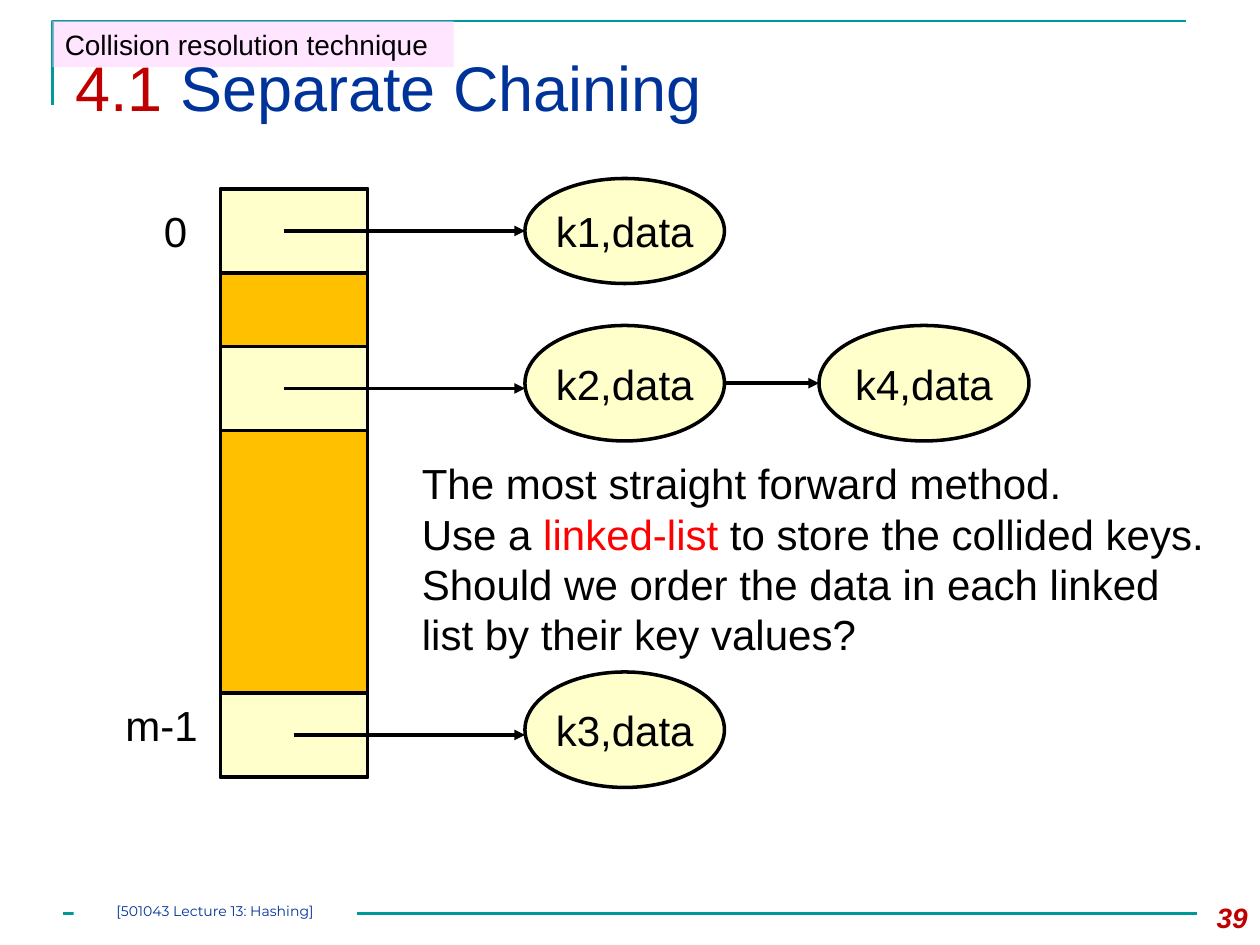
"""Build the separate chaining slide on a grid of 120 columns by 90 rows."""
from lxml import etree
from pptx import Presentation, util as u
from pptx.dml.color import RGBColor
from pptx.enum import shapes, text
from pptx.oxml import ns

BLACK = RGBColor(0x00, 0x00, 0x00)
WHITE = RGBColor(0xFF, 0xFF, 0xFF)
TEAL = RGBColor(0x00, 0x99, 0x99)
NAVY = RGBColor(0x00, 0x33, 0x99)
CRIMSON = RGBColor(0xC0, 0x00, 0x00)
RED = RGBColor(0xFF, 0x00, 0x00)
CREAM = RGBColor(0xFF, 0xFF, 0xCC)
AMBER = RGBColor(0xFF, 0xC0, 0x00)
PINK = RGBColor(0xFF, 0xCC, 0xFF)
LEFT, MID, RIGHT = text.PP_ALIGN.LEFT, text.PP_ALIGN.CENTER, text.PP_ALIGN.RIGHT
RECT, OVAL = shapes.MSO_SHAPE.RECTANGLE, shapes.MSO_SHAPE.OVAL

deck = Presentation()
deck.slide_width, deck.slide_height = u.Inches(10), u.Inches(7.5)
unit = deck.slide_width // 120
slide = deck.slides.add_slide(deck.slide_layouts[6])
tree = slide.shapes


def write(shape, lines, size, align=LEFT, font="Arial"):
    frame = shape.text_frame
    frame.word_wrap = True
    frame.vertical_anchor = text.MSO_ANCHOR.TOP
    for num, line in enumerate(lines):
        para = frame.add_paragraph() if num else frame.paragraphs[0]
        para.alignment = align
        for words, color in line:
            run = para.add_run()
            run.text = words
            run.font.size, run.font.name = u.Pt(size), font
            run.font.color.rgb = color
    return frame


def draw(kind, box, fill, edge=None):
    shape = tree.add_shape(kind, *(round(n * unit) for n in box))
    shape.shadow.inherit = False
    shape.fill.solid()
    shape.fill.fore_color.rgb = fill
    if edge is None:
        shape.line.fill.background()
    else:
        shape.line.color.rgb, shape.line.width = edge, u.Pt(2)
    return shape


pen = tree.build_freeform(5, 10, scale=unit)
pen.add_line_segments([(5, 2), (113, 2)], close=False)
frame = pen.convert_to_shape()
frame.shadow.inherit = False
frame.fill.background()
frame.line.color.rgb, frame.line.width = TEAL, u.Pt(1.5)

for row, tall, fill in [(18, 56, AMBER), (18, 8, CREAM), (33, 8, CREAM), (66, 8, CREAM)]:
    draw(RECT, (21, row, 14, tall), fill, BLACK)

for name, col, row, wide, tall in [
    ("k1", 50, 17, 19, 10),
    ("k2", 50, 31, 19, 11),
    ("k3", 50, 64, 19, 11),
    ("k4", 78, 31, 20, 11),
]:
    node = draw(OVAL, (col, row, wide, tall), CREAM, BLACK)
    body = write(node, [[(f"{name},data", BLACK)]], 24, MID)
    body.word_wrap = False
    body.vertical_anchor = text.MSO_ANCHOR.MIDDLE

for start, end, row, color, width in [
    (6, 114, 87, TEAL, 1.5),
    (27, 50, 22, BLACK, 2),
    (27, 50, 37, BLACK, 2),
    (28, 50, 70, BLACK, 2),
    (69, 78, 36.5, BLACK, 2),
]:
    high = round(row * unit)
    link = tree.add_connector(
        shapes.MSO_CONNECTOR.STRAIGHT, start * unit, high, end * unit, high
    )
    link.line.color.rgb, link.line.width = color, u.Pt(width)
    if color == BLACK:
        etree.SubElement(link.line._get_or_add_ln(), ns.qn("a:tailEnd"), type="triangle")
    etree.SubElement(link._element.spPr, ns.qn("a:effectLst"))

notes = [
    [("The most straight forward method.", BLACK)],
    [
        ("Use a ", BLACK),
        ("linked-list ", RED),
        ("to store the collided keys. Should we order the data in each linked "
         "list by their key values?", BLACK),
    ],
]
for box, lines, size, align in [
    ((6, 4, 108, 11), [[("4.1 ", CRIMSON), ("Separate Chaining", NAVY)]], 36, LEFT),
    ((12, 19, 7, 6), [[("0", BLACK)]], 24, RIGHT),
    ((6, 66, 14, 6), [[("m-1", BLACK)]], 24, RIGHT),
    ((39, 43, 78, 20.6), notes, 24, LEFT),
]:
    write(tree.add_textbox(*(round(n * unit) for n in box)), lines, size, align)

page = tree.add_textbox(112 * unit, round(85.2 * unit), 8 * unit, round(4.8 * unit))
font = write(page, [[("39", CRIMSON)]], 16, RIGHT).paragraphs[0].runs[0].font
font.bold = font.italic = True

tag = draw(RECT, (5, 2, 38.2, 4.4), PINK)
tint = tag._element.spPr.find(ns.qn("a:solidFill"))[0]
etree.SubElement(tint, ns.qn("a:alpha"), val="50000")
write(tag, [[("Collision resolution technique", BLACK)]], 16)

foot = draw(RECT, (7, 86, 27, 2), WHITE)
body = write(foot, [[("[501043 Lecture 13: Hashing]", NAVY)]], 8, MID, "Montserrat")
body.margin_left = body.margin_right = body.margin_top = body.margin_bottom = 0

deck.save("out.pptx")
